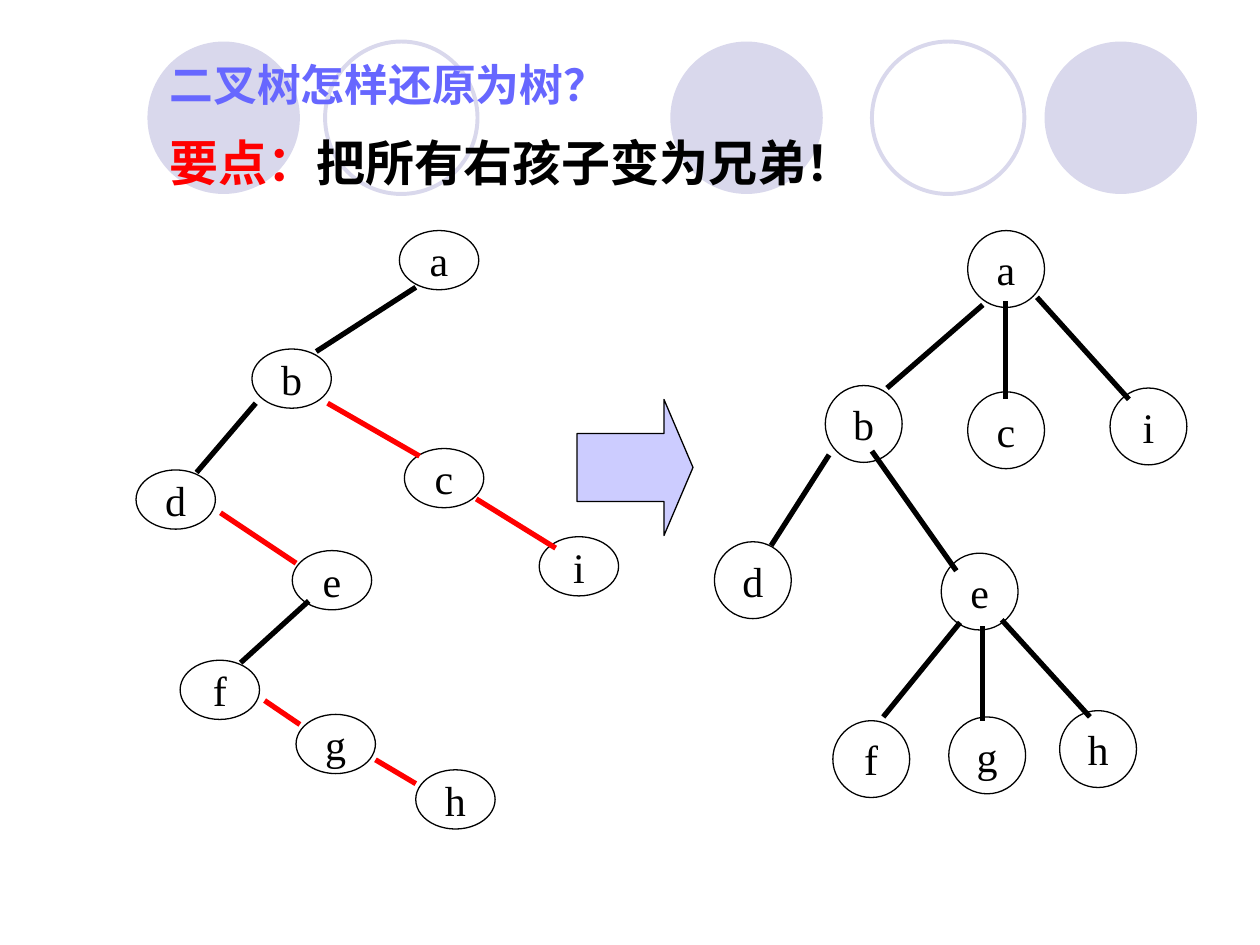
import dataclasses

import pptx
import pptx.dml.color
import pptx.enum.shapes
import pptx.enum.text
import pptx.oxml
import pptx.oxml.ns
import pptx.util

SHAPE = pptx.enum.shapes.MSO_SHAPE
ANCHOR = pptx.enum.text.MSO_ANCHOR
ALIGN = pptx.enum.text.PP_ALIGN
PX_PER_INCH = 100


@dataclasses.dataclass(frozen=True)
class Theme:
    ink: str = "000000"
    alert: str = "FF0000"
    title: str = "6767FF"
    decor: str = "D9D8EC"
    arrow: str = "CCCCFF"
    paper: str = "FFFFFF"
    heading_font: str = "Noto Sans CJK SC"
    label_font: str = "Times New Roman"
    title_size: int = 25
    point_size: int = 28
    label_size: int = 24
    outline: float = 0.75
    ring: float = 2.25
    branch: float = 3


def px(length):
    return pptx.util.Emu(length * 914400 // PX_PER_INCH)


def rgb(value):
    return pptx.dml.color.RGBColor.from_string(value)


def apply(target, formats):
    for name, value in formats.items():
        setattr(target, name, value)


class SlideBuilder:
    def __init__(self, slide, theme):
        self.slide = slide
        self.theme = theme
        self.canvas = slide.shapes

    def start_group(self):
        self.canvas = self.slide.shapes.add_group_shape().shapes

    def end_group(self):
        self.canvas = self.slide.shapes

    def shape(self, kind, box, fill=None, line=None, width=0):
        shape = self.canvas.add_shape(kind, *map(px, box))
        shape.shadow.inherit = False
        if fill:
            shape.fill.solid()
            shape.fill.fore_color.rgb = rgb(fill)
        else:
            shape.fill.background()
        if line:
            shape.line.color.rgb = rgb(line)
            shape.line.width = pptx.util.Pt(width)
        else:
            shape.line.fill.background()
        return shape

    def run(self, paragraph, text, font, size, color, bold=False):
        run = paragraph.add_run()
        run.text = text
        apply(run.font, {"name": font, "size": pptx.util.Pt(size), "bold": bold})
        run.font.color.rgb = rgb(color)
        east_asian = pptx.oxml.parse_xml(
            f'<a:ea {pptx.oxml.ns.nsdecls("a")} typeface="{font}"/>')
        run.font._element.find(pptx.oxml.ns.qn("a:latin")).addnext(east_asian)

    def frame(self, shape, wrap, anchor):
        apply(shape.text_frame, {
            "word_wrap": wrap, "vertical_anchor": anchor,
            "margin_left": px(10), "margin_right": px(10),
            "margin_top": px(5), "margin_bottom": px(5)})
        return shape.text_frame.paragraphs[0]

    def heading(self, box, runs, size, anchor):
        paragraph = self.frame(self.canvas.add_textbox(*map(px, box)), True, anchor)
        for text, color in runs:
            self.run(paragraph, text, self.theme.heading_font, size, color, True)

    def node(self, label, left, top, size, fill=None):
        theme = self.theme
        node = self.shape(SHAPE.OVAL, (left, top, *size), fill, theme.ink, theme.outline)
        paragraph = self.frame(node, False, ANCHOR.MIDDLE)
        paragraph.alignment = ALIGN.CENTER
        self.run(paragraph, label, theme.label_font, theme.label_size, theme.ink)

    def branch(self, ends, color):
        branch = self.canvas.add_connector(
            pptx.enum.shapes.MSO_CONNECTOR.STRAIGHT, *map(px, ends))
        branch.line.color.rgb = rgb(color)
        branch.line.width = pptx.util.Pt(self.theme.branch)
        branch._element.spPr.append(
            pptx.oxml.parse_xml(f'<a:effectLst {pptx.oxml.ns.nsdecls("a")}/>'))

    def tree(self, nodes, size, branches, fill=None):
        for label, (left, top) in nodes.items():
            self.node(label, left, top, size, fill)
        for color, lines in branches.items():
            for ends in lines:
                self.branch(ends, color)


DISC_LEFTS = (532, 829, 117)
RING_LEFTS = (692, 258)

BINARY_NODES = {
    "a": (317, 183), "b": (200, 277), "c": (321, 356), "d": (108, 373),
    "e": (232, 437), "f": (143, 524), "g": (235, 567), "h": (330, 611),
    "i": (428, 426),
}
LEFT_CHILDREN = ((330, 228, 251, 279), (203, 320, 156, 375), (245, 477, 191, 526))
RIGHT_CHILDREN = (
    (260, 320, 333, 362), (378, 396, 441, 435), (175, 407, 235, 447),
    (210, 556, 238, 575), (298, 603, 330, 622),
)

RESTORED_NODES = {
    "a": (768, 183), "b": (655, 306), "c": (768, 311), "d": (567, 430),
    "e": (747, 439), "f": (661, 572), "g": (753, 569), "h": (841, 564),
    "i": (881, 308),
}
RESTORED_BRANCHES = (
    (780, 242, 704, 308), (798, 239, 798, 317), (823, 236, 896, 317),
    (658, 361, 612, 433), (692, 358, 759, 453),
    (762, 494, 701, 569), (780, 497, 780, 572), (795, 492, 865, 569),
)


def main():
    theme = Theme()
    deck = pptx.Presentation()
    apply(deck, {"slide_width": px(1000), "slide_height": px(750)})
    builder = SlideBuilder(deck.slides.add_slide(deck.slide_layouts[6]), theme)

    builder.start_group()
    for left in DISC_LEFTS:
        builder.shape(SHAPE.OVAL, (left, 33, 121, 121), fill=theme.decor)
    for left in RING_LEFTS:
        builder.shape(SHAPE.OVAL, (left, 33, 121, 121), line=theme.decor, width=theme.ring)
    builder.end_group()

    builder.heading((125, 25, 692, 83), [("二叉树怎样还原为树？", theme.title)],
                    theme.title_size, ANCHOR.MIDDLE)
    builder.tree(BINARY_NODES, (63, 47),
                 {theme.ink: LEFT_CHILDREN, theme.alert: RIGHT_CHILDREN})
    builder.heading((125, 100, 575, 64),
                    [("要点：", theme.alert), ("把所有右孩子变为兄弟！", theme.ink)],
                    theme.point_size, ANCHOR.TOP)

    builder.start_group()
    builder.tree(RESTORED_NODES, (61, 61), {theme.ink: RESTORED_BRANCHES}, theme.paper)
    builder.end_group()

    arrow = builder.shape(SHAPE.RIGHT_ARROW, (458, 317, 92, 108),
                          theme.arrow, theme.ink, theme.outline)
    arrow.adjustments[0] = 0.5
    arrow.adjustments[1] = 0.25

    deck.save("out.pptx")


if __name__ == "__main__":
    main()
